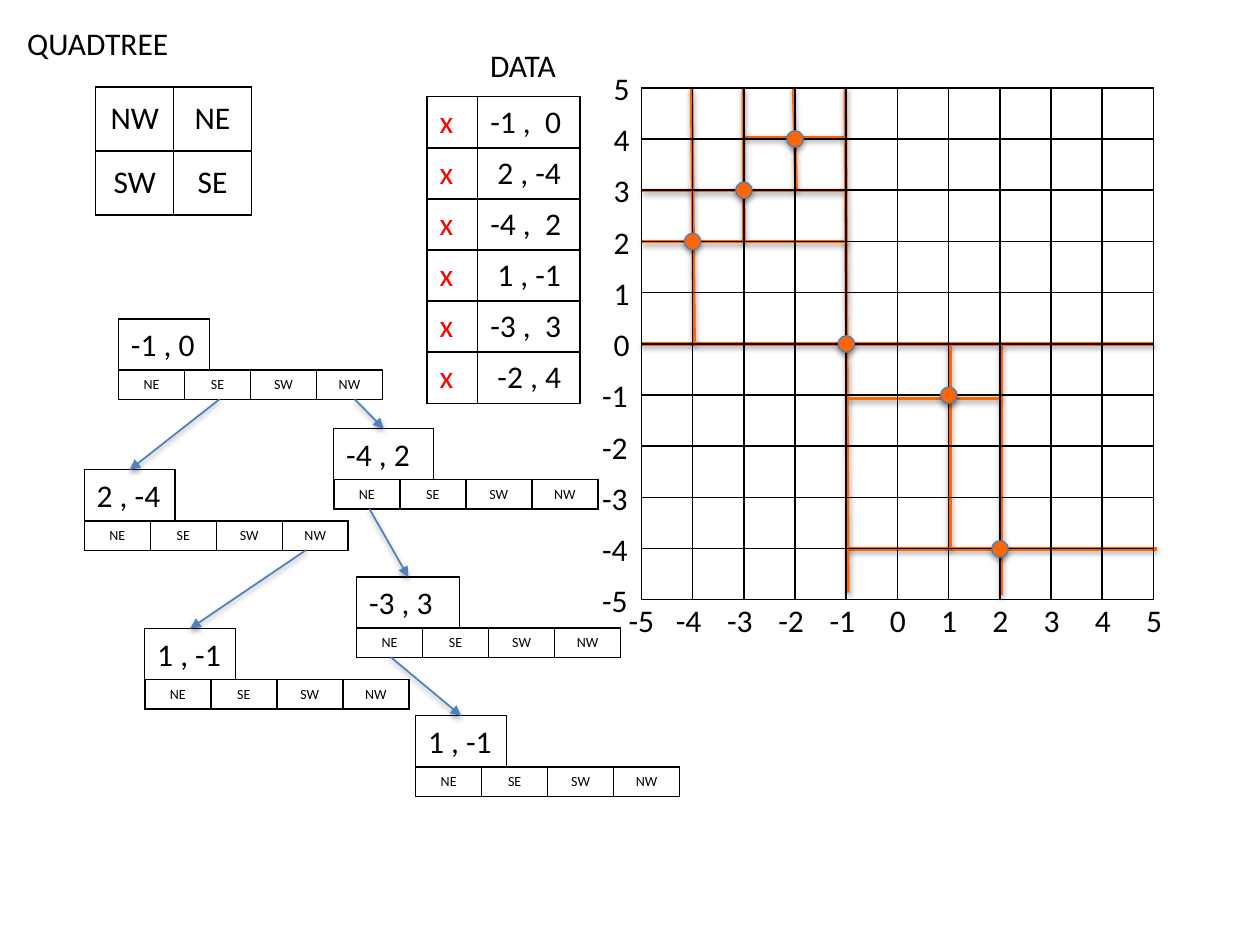
from lxml.etree import SubElement
from pptx import Presentation
from pptx.dml.color import RGBColor
from pptx.enum.shapes import MSO_CONNECTOR as Connector, MSO_SHAPE as Shape
from pptx.enum.text import MSO_ANCHOR as Anchor, PP_ALIGN as Align
from pptx.oxml.ns import qn
from pptx.util import Cm, Pt

BLACK = RGBColor(0x00, 0x00, 0x00)
RED = RGBColor(0xFF, 0x00, 0x00)
ORANGE = RGBColor(0xFF, 0x66, 0x00)
BLUE = RGBColor(0x4F, 0x81, 0xBD)
POINT_EDGE = RGBColor(0x4B, 0x7E, 0xBC)

GRID_LEFT, GRID_TOP, CELL, LIMIT = 12.93, 1.77, 1.033, 5
POINT_SIZE = 0.33
LINE_HEIGHT = 1.03
SLOT_WIDTH, SLOT_HEIGHT = 1.33, 0.59

SPLITS = [
    (-2.03, 5, -1.98, 3), (-3, 4.03, -1.02, 4.03), (-3.01, 5, -3, 2),
    (-4.98, 3, -1.02, 3), (-0.97, -4, 5.07, -4), (2.03, 0, 2.03, -4.9),
    (-5, 0, 5, 0), (-4.98, 2, -0.97, 2), (-1.02, 5, -0.97, -4.85),
    (1.02, 0, 1.02, -4), (-0.97, -1.06, 2.03, -1.06), (-4.02, 5, -3.97, 0),
]
POINTS = [(-1, 0), (2, -4), (-4, 2), (1, -1), (-3, 3), (-2, 4)]
DATA = ["-1 ,  0", " 2 , -4", "-4 ,  2", " 1 , -1", "-3 ,  3", " -2 , 4"]
NODES = [
    ("-1 , 0", 2.39, 6.43, 1.83), ("2 , -4", 1.7, 9.47, 1.83),
    ("-4 , 2", 6.73, 8.64, 2.01), ("1 , -1", 2.92, 12.67, 1.83),
    ("-3 , 3", 7.19, 11.63, 2.08), ("1 , -1", 8.38, 14.43, 1.83),
]
BRANCHES = [(0, 1.53, 1), (0, 3.58, 2), (1, 3.36, 3), (2, 0.54, 4), (4, 0.52, 5)]


def apply_format(target, values):
    for name, value in values.items():
        setattr(target, name, value)


def grid_position(x, y):
    return GRID_LEFT + (x + LIMIT) * CELL, GRID_TOP + (LIMIT - y) * CELL


def write_text(frame, text, size=18, color=BLACK, align=Align.LEFT):
    paragraph = frame.paragraphs[0]
    paragraph.alignment = align
    run = paragraph.add_run()
    run.text = text
    apply_format(run.font, {"size": Pt(size), "name": "Calibri"})
    run.font.color.rgb = color


def cast_shadow(shape, alpha, distance):
    properties = shape.element.spPr
    effects = properties.find(qn("a:effectLst"))
    if effects is None:
        effects = SubElement(properties, qn("a:effectLst"))
    shadow = SubElement(effects, qn("a:outerShdw"), blurRad="40000",
                        dist=str(distance), dir="5400000", rotWithShape="0")
    color = SubElement(shadow, qn("a:srgbClr"), val="000000")
    SubElement(color, qn("a:alpha"), val=str(alpha))


def add_line(slide, start, end, color, width):
    line = slide.shapes.add_connector(
        Connector.STRAIGHT, *(Cm(value) for value in (*start, *end)))
    line.line.color.rgb = color
    line.line.width = Pt(width)
    cast_shadow(line, 38000, 20000)
    return line


def add_arrow(slide, start, box):
    arrow = add_line(slide, start, start, BLUE, 1)
    arrow.end_connect(box, 0)
    SubElement(arrow.element.spPr.find(qn("a:ln")), qn("a:tailEnd"), type="triangle")


def add_label(slide, text, left, top, width, align=Align.LEFT):
    label = slide.shapes.add_textbox(Cm(left), Cm(top), Cm(width), Cm(LINE_HEIGHT))
    apply_format(label.text_frame, {"word_wrap": True, "vertical_anchor": Anchor.MIDDLE})
    write_text(label.text_frame, text, align=align)


def add_point(slide, x, y):
    center_x, center_y = grid_position(x, y)
    point = slide.shapes.add_shape(
        Shape.OVAL, Cm(center_x - POINT_SIZE / 2), Cm(center_y - POINT_SIZE / 2),
        Cm(POINT_SIZE), Cm(POINT_SIZE))
    point.shadow.inherit = False
    point.fill.solid()
    point.fill.fore_color.rgb = ORANGE
    point.line.color.rgb = POINT_EDGE
    point.line.width = Pt(0.75)
    cast_shadow(point, 35000, 23000)


def add_borders(cell):
    properties = cell._tc.get_or_add_tcPr()
    for side in ("lnL", "lnR", "lnT", "lnB"):
        border = SubElement(properties, qn(f"a:{side}"), w=str(Pt(1)))
        fill = SubElement(border, qn("a:solidFill"))
        SubElement(fill, qn("a:srgbClr"), val=str(BLACK))


def add_grid(slide, rows, left, top, width, height, cell_format=None, **text_format):
    table = slide.shapes.add_table(
        len(rows), len(rows[0]), Cm(left), Cm(top),
        Cm(width * len(rows[0])), Cm(height * len(rows))).table
    apply_format(table, {"first_row": False, "horz_banding": False})
    for column in table.columns:
        column.width = Cm(width)
    for row, texts in zip(table.rows, rows):
        row.height = Cm(height)
        for cell, text in zip(row.cells, texts):
            add_borders(cell)
            cell.fill.background()
            apply_format(cell, cell_format or {})
            if text:
                write_text(cell.text_frame, text, **text_format)


def add_node(slide, text, left, top, width):
    box = slide.shapes.add_shape(
        Shape.RECTANGLE, Cm(left), Cm(top), Cm(width), Cm(LINE_HEIGHT))
    box.shadow.inherit = False
    box.fill.background()
    box.line.color.rgb = BLACK
    box.line.width = Pt(0.75)
    apply_format(box.text_frame, {"word_wrap": True, "vertical_anchor": Anchor.TOP})
    write_text(box.text_frame, text)
    add_grid(slide, [["NE", "SE", "SW", "NW"]], left, top + LINE_HEIGHT,
             SLOT_WIDTH, SLOT_HEIGHT, size=8, align=Align.CENTER)
    return box


def add_axis_labels(slide):
    for value in range(-LIMIT, LIMIT + 1):
        width = 1.07 if value < 0 else 0.81
        x, y = grid_position(value, value)
        shift = 0.08 if -LIMIT < value < 0 else 0
        add_label(slide, str(value), GRID_LEFT - width, y - LINE_HEIGHT / 2,
                  width, Align.CENTER)
        add_label(slide, str(value), x - width / 2 - shift, 11.98,
                  width, Align.CENTER)


def add_plot(slide):
    for x1, y1, x2, y2 in SPLITS:
        add_line(slide, grid_position(x1, y1), grid_position(x2, y2), ORANGE, 2)
    cells = [[""] * (2 * LIMIT)] * (2 * LIMIT)
    add_grid(slide, cells, GRID_LEFT, GRID_TOP, CELL, CELL,
             {"margin_top": 0, "margin_bottom": 0})
    add_axis_labels(slide)
    for point in POINTS:
        add_point(slide, *point)


def add_tree(slide):
    boxes = [add_node(slide, *node) for node in NODES]
    for parent, slot, child in BRANCHES:
        _, left, top, _ = NODES[parent]
        start = left + slot * SLOT_WIDTH, top + LINE_HEIGHT + SLOT_HEIGHT
        add_arrow(slide, start, boxes[child])


def main():
    presentation = Presentation()
    apply_format(presentation, {"slide_width": Cm(25.4), "slide_height": Cm(19.05)})
    slide = presentation.slides.add_slide(presentation.slide_layouts[6])
    add_plot(slide)
    add_label(slide, "QUADTREE", 0.3, 0.36, 4.29)
    add_grid(slide, [["NW", "NE"], ["SW", "SE"]], 1.93, 1.75, 1.57, 1.29,
             {"vertical_anchor": Anchor.MIDDLE}, align=Align.CENTER)
    add_label(slide, "DATA", 9.63, 0.8, 2.24)
    add_grid(slide, [[text] for text in DATA], 9.63, 1.95, 2.06, LINE_HEIGHT)
    add_grid(slide, [["x"]] * len(DATA), 8.61, 1.95, 1.02, LINE_HEIGHT, color=RED)
    add_tree(slide)
    presentation.save("out.pptx")


if __name__ == "__main__":
    main()
